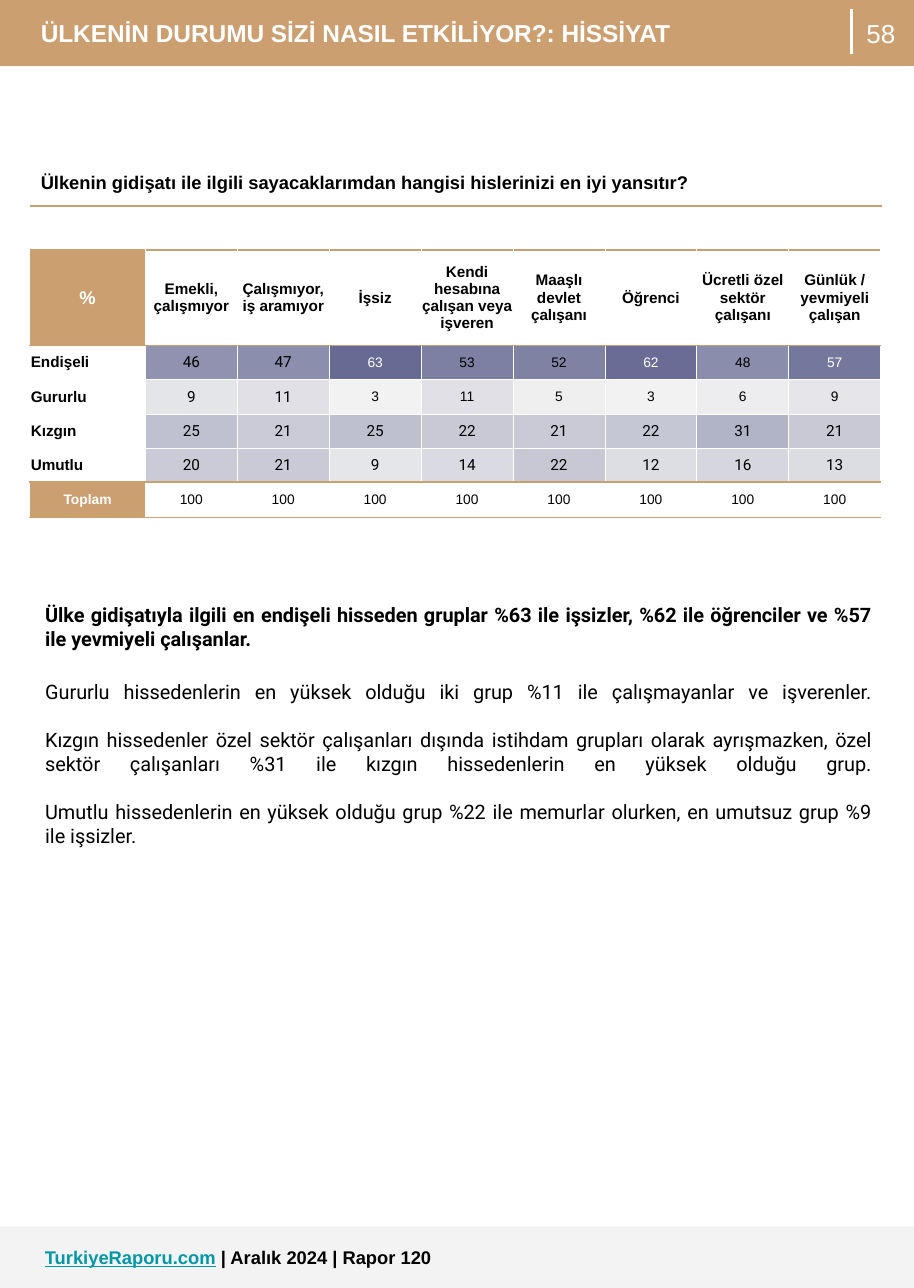
from dataclasses import dataclass

from lxml.etree import SubElement
from pptx import Presentation
from pptx.dml.color import RGBColor
from pptx.enum.shapes import MSO_CONNECTOR, MSO_SHAPE
from pptx.enum.text import MSO_ANCHOR, MSO_AUTO_SIZE, PP_ALIGN
from pptx.oxml import parse_xml
from pptx.oxml.ns import nsdecls, qn
from pptx.util import Inches, Pt


@dataclass(frozen=True)
class Theme:
    """Colours, fonts and type sizes of the report."""
    tan: str = "CC9F71"
    gray: str = "F3F3F3"
    white: str = "FFFFFF"
    black: str = "000000"
    link: str = "0097A7"
    sans: str = "Arial"
    text: str = "Roboto"
    title: int = 16
    number: int = 17
    body: int = 13
    heading: int = 12
    cell: int = 10
    small: int = 9
    leading: float = 15.7


GROUPS = [
    "Emekli, çalışmıyor", "Çalışmıyor, iş aramıyor", "İşsiz",
    "Kendi hesabına çalışan veya işveren", "Maaşlı devlet çalışanı",
    "Öğrenci", "Ücretli özel sektör çalışanı", "Günlük / yevmiyeli çalışan",
]
FEELINGS = {
    "Endişeli": ([46, 47, 63, 53, 52, 62, 48, 57],
                 "9092AF 8C8EAD 676A93 7D80A3 8082A4 6A6C95 8B8DAC 75789D"),
    "Gururlu": ([9, 11, 3, 11, 5, 3, 6, 9],
                "E4E5E9 E0E0E6 F2F2F2 E0E0E6 EFEFF0 F2F2F2 EDEDEF E6E6EA"),
    "Kızgın": ([25, 21, 25, 22, 21, 22, 31, 21],
               "C0C1D0 CACBD7 BFC0CF C8C9D5 C9CAD6 C6C7D4 B1B3C6 C8C9D5"),
    "Umutlu": ([20, 21, 9, 14, 22, 12, 16, 13],
               "CACBD7 C9CAD6 E5E6EA DADAE2 C8C8D5 DDDEE4 D6D6DF DCDDE3"),
}
FINDINGS = [
    "Ülke gidişatıyla ilgili en endişeli hisseden gruplar %63 ile işsizler, "
    "%62 ile öğrenciler ve %57 ile yevmiyeli çalışanlar.",
    "Gururlu hissedenlerin en yüksek olduğu iki grup %11 ile çalışmayanlar ve işverenler.\v",
    "Kızgın hissedenler özel sektör çalışanları dışında istihdam grupları olarak "
    "ayrışmazken, özel sektör çalışanları %31 ile kızgın hissedenlerin en yüksek "
    "olduğu grup.\v",
    "Umutlu hissedenlerin en yüksek olduğu grup %22 ile memurlar olurken, "
    "en umutsuz grup %9 ile işsizler.",
]


class ReportPage:
    """Draws the elements of one report page in the report's style."""

    def __init__(self, slide, theme):
        """Keep the slide and its theme."""
        self.slide = slide
        self.theme = theme

    def style(self, font, size, color, bold=False, name=None):
        """Format a font."""
        font.name = name or self.theme.sans
        font.size = Pt(size)
        font.bold = bold
        font.color.rgb = RGBColor.from_string(color)

    def frame(self, shape, box, anchor=MSO_ANCHOR.TOP):
        """Place a text shape and return its prepared text frame."""
        shape.left, shape.top, shape.width, shape.height = map(Inches, box)
        frame = shape.text_frame
        frame.word_wrap = True
        frame.auto_size = MSO_AUTO_SIZE.NONE
        frame.vertical_anchor = anchor
        frame.margin_left = frame.margin_right = Inches(0.1)
        frame.margin_top = frame.margin_bottom = Inches(0.1)
        return frame

    def band(self, top, height, color):
        """Draw a full-width band behind everything else."""
        shape = self.slide.shapes.add_shape(
            MSO_SHAPE.RECTANGLE, 0, Inches(top), Inches(8.3), Inches(height))
        shape.shadow.inherit = False
        shape.fill.solid()
        shape.fill.fore_color.rgb = RGBColor.from_string(color)
        shape.line.fill.background()
        shape.element.getparent().insert(2, shape.element)

    def title(self, text, box):
        """Fill the title placeholder."""
        paragraph = self.frame(self.slide.shapes.title, box).paragraphs[0]
        paragraph.text = text
        paragraph.alignment = PP_ALIGN.LEFT
        self.style(paragraph.font, self.theme.title, self.theme.white, True)

    def body(self, texts, box):
        """Fill the body placeholder with justified text, the first paragraph bold."""
        frame = self.frame(self.slide.placeholders[1], box)
        for index, text in enumerate(texts):
            paragraph = frame.paragraphs[0] if index == 0 else frame.add_paragraph()
            paragraph.text = text
            paragraph.alignment = PP_ALIGN.JUSTIFY
            paragraph.line_spacing = Pt(self.theme.leading)
            paragraph.space_before = Pt(19 if index == 1 else 0)
            properties = paragraph._p.get_or_add_pPr()
            properties.set("marL", "0")
            properties.set("indent", "0")
            SubElement(properties, qn("a:buNone"))
            self.style(paragraph.font, self.theme.body, self.theme.black,
                       index == 0, self.theme.text)

    def page_number(self, text, box):
        """Write the page number."""
        shape = self.slide.shapes.add_textbox(0, 0, 0, 0)
        paragraph = self.frame(shape, box, MSO_ANCHOR.MIDDLE).paragraphs[0]
        paragraph.text = text
        paragraph.alignment = PP_ALIGN.CENTER
        self.style(paragraph.font, self.theme.number, self.theme.white)

    def footer(self, site, issue, box):
        """Write the site address and the issue."""
        shape = self.slide.shapes.add_textbox(0, 0, 0, 0)
        paragraph = self.frame(shape, box).paragraphs[0]
        for text, color in ((site, self.theme.link), (issue, self.theme.black)):
            run = paragraph.add_run()
            run.text = text
            self.style(run.font, self.theme.heading, color, True)
            run.font.underline = text == site

    def divider(self, x, top, bottom):
        """Draw the vertical line beside the page number."""
        line = self.slide.shapes.add_connector(
            MSO_CONNECTOR.STRAIGHT, Inches(x), Inches(top), Inches(x), Inches(bottom))
        line.line.color.rgb = RGBColor.from_string(self.theme.white)
        line.line.width = Pt(2.25)
        SubElement(line._element.spPr, qn("a:effectLst"))

    def table(self, left, top, widths, heights):
        """Add a table without banding."""
        table = self.slide.shapes.add_table(
            len(heights), len(widths), Inches(left), Inches(top),
            Inches(sum(widths)), Inches(sum(heights))).table
        table.first_row = table.horz_banding = False
        for column, width in zip(table.columns, widths):
            column.width = Inches(width)
        for row, height in zip(table.rows, heights):
            row.height = Inches(height)
        return table

    def cell(self, cell, text, size, color, bold=False, name=None, fill=None,
             align=PP_ALIGN.CENTER, anchor=MSO_ANCHOR.MIDDLE, inset=0.01,
             above=None, below=None):
        """Fill one table cell and draw its borders."""
        cell.margin_left = cell.margin_right = Inches(inset)
        cell.margin_top = cell.margin_bottom = Inches(inset)
        cell.vertical_anchor = anchor
        if fill:
            cell.fill.solid()
            cell.fill.fore_color.rgb = RGBColor.from_string(fill)
        else:
            cell.fill.background()
        paragraph = cell.text_frame.paragraphs[0]
        paragraph.text = text
        paragraph.alignment = align
        self.style(paragraph.font, size, color, bold, name)
        sides = {"lnL": None, "lnR": None, "lnT": above, "lnB": below}
        for index, (side, line) in enumerate(sides.items()):
            width = Pt(1 if line else 0.5)
            cell._tc.get_or_add_tcPr().insert(index, parse_xml(
                f'<a:{side} {nsdecls("a")} w="{width}"><a:solidFill>'
                f'<a:srgbClr val="{line or self.theme.white}"/></a:solidFill></a:{side}>'))

    def question(self, text):
        """Write the survey question above a rule."""
        table = self.table(0.27, 1.47, [7.74], [0.4])
        self.cell(table.cell(0, 0), text, self.theme.heading, self.theme.black, True,
                  fill=self.theme.white, align=PP_ALIGN.LEFT, anchor=MSO_ANCHOR.TOP,
                  inset=0.1, below=self.theme.tan)

    def results(self, groups, feelings):
        """Build the heat table of feelings by employment group."""
        theme = self.theme
        table = self.table(0.27, 2.27, [1.05] + [0.835] * len(groups),
                           [0.87] + [0.31] * len(feelings) + [0.32])
        ruled = {"above": theme.tan, "below": theme.tan}
        last = len(feelings) + 1
        self.cell(table.cell(0, 0), "%", theme.heading, theme.white, True,
                  fill=theme.tan, **ruled)
        self.cell(table.cell(last, 0), "Toplam", theme.small, theme.white, True,
                  fill=theme.tan, **ruled)
        for column, group in enumerate(groups, 1):
            self.cell(table.cell(0, column), group, theme.cell, theme.black, True, **ruled)
            self.cell(table.cell(last, column), "100", theme.small, theme.black, **ruled)
        for row, (feeling, (values, fills)) in enumerate(feelings.items(), 1):
            edges = {"above": theme.tan if row == 1 else None,
                     "below": theme.tan if row == last - 1 else None}
            self.cell(table.cell(row, 0), feeling, theme.cell, theme.black, True,
                      align=PP_ALIGN.LEFT, **edges)
            for column, (value, fill) in enumerate(zip(values, fills.split()), 1):
                small = row <= 2 and column >= 3
                self.cell(table.cell(row, column), str(value),
                          theme.small if small else theme.cell,
                          theme.white if value > 55 else theme.black,
                          name=theme.sans if small else theme.text, fill=fill, **edges)


def main():
    """Build the page and save it."""
    presentation = Presentation()
    presentation.slide_width, presentation.slide_height = Inches(8.3), Inches(11.7)
    theme = Theme()
    page = ReportPage(presentation.slides.add_slide(presentation.slide_layouts[1]), theme)
    page.band(0, 0.6, theme.tan)
    page.band(11.14, 0.56, theme.gray)
    page.title("ÜLKENİN DURUMU SİZİ NASIL ETKİLİYOR?: HİSSİYAT", (0.27, 0.06, 7.46, 0.74))
    page.divider(7.73, 0.08, 0.49)
    page.page_number("58", (7.73, -0.15, 0.54, 0.9))
    page.question("Ülkenin gidişatı ile ilgili sayacaklarımdan hangisi hislerinizi en iyi yansıtır?")
    page.results(GROUPS, FEELINGS)
    page.body(FINDINGS, (0.31, 5.37, 7.7, 3.85))
    page.footer("TurkiyeRaporu.com", " | Aralık 2024 | Rapor 120", (0.31, 11.22, 6.96, 0.48))
    presentation.save("out.pptx")


if __name__ == "__main__":
    main()
